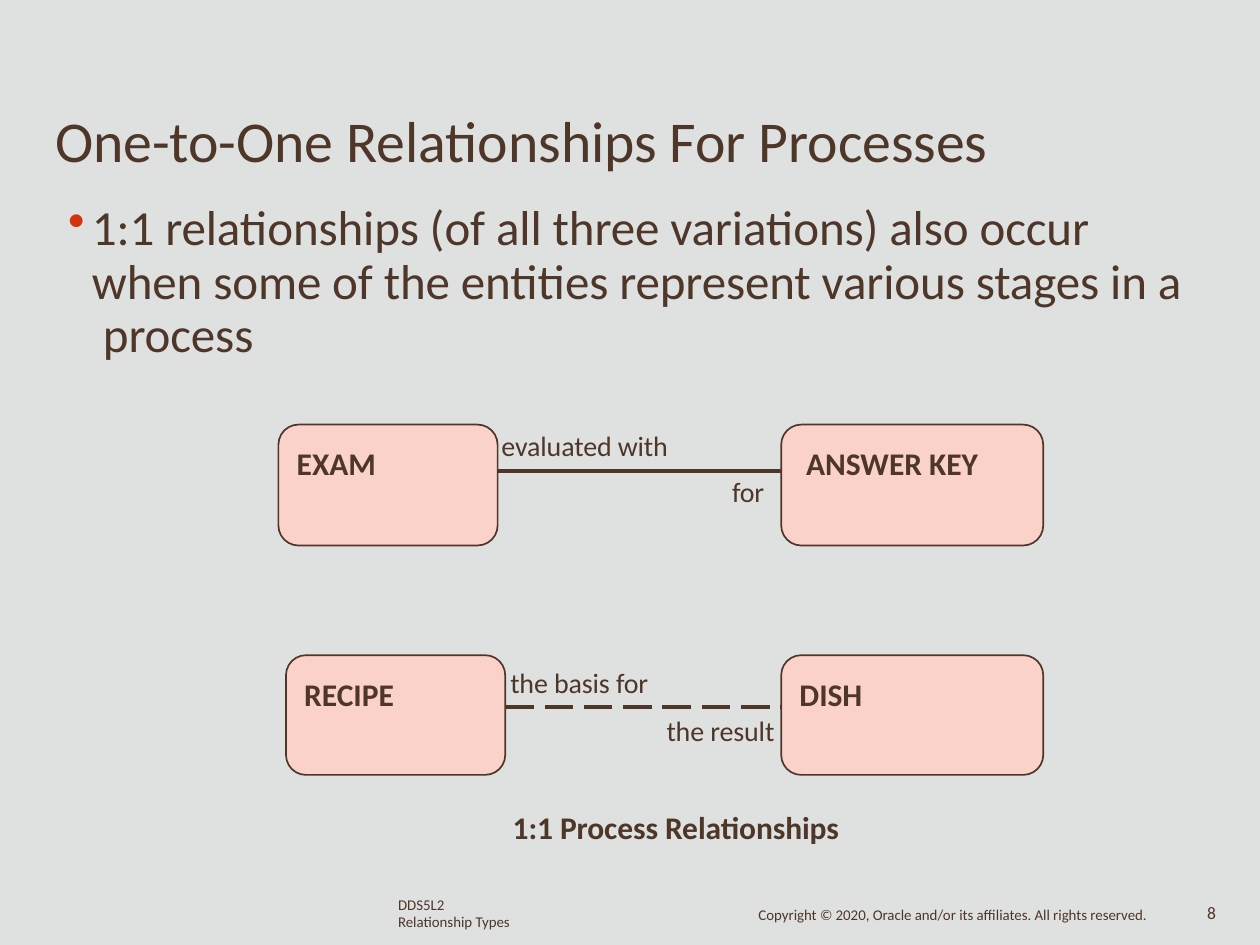
from dataclasses import dataclass

from lxml import etree
from pptx import Presentation
from pptx import util as u
from pptx.dml.color import RGBColor
from pptx.enum import dml, shapes, text
from pptx.oxml import ns


@dataclass(frozen=True)
class Theme:
    """Colours, font and type sizes of the slide."""
    background: RGBColor = RGBColor(0xDF, 0xE1, 0xE0)
    ink: RGBColor = RGBColor(0x4E, 0x36, 0x29)
    entity: RGBColor = RGBColor(0xFA, 0xD2, 0xC9)
    bullet: str = "D1350F"
    font: str = "Calibri"
    title: float = 33
    body: float = 28
    heading: float = 18
    label: float = 16
    page: float = 10
    footer: float = 8.5


THEME = Theme()


def add_run(paragraph, words, size, bold=False, tracking=-0.05):
    """Add one styled run, with tracking in points."""
    run = paragraph.add_run()
    run.text = words
    run.font.name = THEME.font
    run.font.size = u.Pt(size)
    run.font.bold = bold
    run.font.color.rgb = THEME.ink
    run._r.get_or_add_rPr().set("spc", str(round(tracking * 100)))


def set_frame(frame, left=0, top=0, wrap=False):
    """Set the insets, wrapping and top anchor of a text frame."""
    frame.margin_left, frame.margin_top = u.Inches(left), u.Inches(top)
    frame.margin_right = frame.margin_bottom = 0
    frame.word_wrap = wrap
    frame.vertical_anchor = text.MSO_ANCHOR.TOP


def add_panel(slide, kind, box, colour):
    """Draw a filled preset shape without line or shadow."""
    shape = slide.shapes.add_shape(kind, *map(u.Inches, box))
    shape.shadow.inherit = False
    shape.fill.solid()
    shape.fill.fore_color.rgb = colour
    shape.line.fill.background()
    return shape


def add_text(slide, box, lines, size, bold=False, top=0.01, spacings=(), tracking=-0.05):
    """Place lines of text in a box, with optional exact line spacings."""
    frame = slide.shapes.add_textbox(*map(u.Inches, box)).text_frame
    set_frame(frame, left=0.01, top=top)
    for index, words in enumerate(lines):
        paragraph = frame.add_paragraph() if index else frame.paragraphs[0]
        if spacings:
            paragraph.line_spacing = u.Pt(spacings[index])
        add_run(paragraph, words, size, bold, tracking)


def add_body(slide, box, lines):
    """Place the bulleted statement, broken into the given lines."""
    frame = slide.shapes.add_textbox(*map(u.Inches, box)).text_frame
    set_frame(frame, top=0.06, wrap=True)
    paragraph = frame.paragraphs[0]
    paragraph.line_spacing = u.Pt(30.3)
    properties = paragraph._p.get_or_add_pPr()
    properties.set("marL", str(u.Inches(0.2)))
    properties.set("indent", str(u.Inches(-0.19)))
    colour = etree.SubElement(properties, ns.qn("a:buClr"))
    etree.SubElement(colour, ns.qn("a:srgbClr"), val=THEME.bullet)
    etree.SubElement(properties, ns.qn("a:buChar"), char="•")
    size = str(round(THEME.body * 100))
    for index, words in enumerate(lines):
        if index:
            paragraph.add_line_break()
            etree.SubElement(paragraph._p[-1], ns.qn("a:rPr"), sz=size)
        add_run(paragraph, words, THEME.body)
    etree.SubElement(paragraph._p, ns.qn("a:endParaRPr"), sz=size)


def add_entity(slide, box, name, indent=0.1):
    """Draw one rounded entity box with its name at the top left."""
    shape = add_panel(slide, shapes.MSO_SHAPE.ROUNDED_RECTANGLE, box, THEME.entity)
    shape.line.color.rgb = THEME.ink
    shape.line.width = u.Pt(0.96)
    set_frame(shape.text_frame, left=indent, top=0.11)
    paragraph = shape.text_frame.paragraphs[0]
    paragraph.alignment = text.PP_ALIGN.LEFT
    add_run(paragraph, name, THEME.heading, bold=True, tracking=0)


def add_link(slide, left, right, top, dashed):
    """Draw the horizontal relationship line, dashed when optional."""
    ends = map(u.Inches, (left, top, right, top))
    link = slide.shapes.add_connector(shapes.MSO_CONNECTOR.STRAIGHT, *ends)
    link.line.color.rgb = THEME.ink
    link.line.width = u.Pt(2.04)
    if dashed:
        link.line.dash_style = dml.MSO_LINE.LONG_DASH
    etree.SubElement(link._element.spPr, ns.qn("a:effectLst"))


def add_relationship(slide, box, names, indent, link_drop, labels, dashed=False):
    """Draw two entities at the ends of a box and the labelled line between them."""
    left, top, width, height = box
    first_width, second_width = 1.74, 2.08
    link_left = left + first_width
    link_right = left + width - second_width
    add_entity(slide, (left, top, first_width, height), names[0])
    add_entity(slide, (link_right, top, second_width, height), names[1], indent)
    add_link(slide, link_left, link_right, top + link_drop, dashed)
    for words, label_left, label_drop, label_width in labels:
        label_box = (label_left, top + label_drop, label_width, 0.29)
        add_text(slide, label_box, [words], THEME.label)


def add_footer(slide, box):
    """Place the lesson name, copyright line and page number along the bottom."""
    left, top, width, height = box
    add_text(slide, (left, top, 0.93, height), ["DDS5L2", "Relationship Types"],
             THEME.footer, top=0, spacings=(8.6, 9.7), tracking=-0.03)
    add_text(slide, (left + 2.86, top + 0.07, 3.15, 0.15),
             ["Copyright © 2020, Oracle and/or its affiliates. All rights reserved."],
             THEME.footer, top=0, spacings=(9.1,), tracking=-0.02)
    add_text(slide, (left + width - 0.19, top + 0.05, 0.19, 0.17), ["8"],
             THEME.page, top=0, spacings=(10.4,))


def build_slide(presentation):
    """Compose the slide on one-to-one process relationships."""
    slide = presentation.slides.add_slide(presentation.slide_layouts[6])
    add_panel(slide, shapes.MSO_SHAPE.RECTANGLE, (0, 0, 10, 7.5), THEME.background)
    add_text(slide, (0.43, 0.82, 7.46, 0.58),
             ["One-to-One Relationships For Processes"], THEME.title)
    add_body(slide, (0.53, 1.55, 8.92, 1.33), [
        "1:1 relationships (of all three variations) also occur "
        "when some of the entities represent various stages in a",
        " process",
    ])
    add_relationship(slide, (2.21, 3.37, 6.07, 0.96), ("EXAM", "ANSWER KEY"), 0.15, 0.37,
                     [("evaluated with", 3.97, 0.02, 1.36), ("for", 5.8, 0.39, 0.29)])
    add_relationship(slide, (2.27, 5.2, 6.01, 0.95), ("RECIPE", "DISH"), 0.1, 0.41,
                     [("the basis for", 4.04, 0.07, 1.13), ("the result", 5.28, 0.45, 0.88)],
                     dashed=True)
    add_text(slide, (4.06, 6.4, 2.63, 0.33), ["1:1 Process Relationships"],
             THEME.heading, bold=True)
    add_footer(slide, (3.15, 7.13, 6.61, 0.27))


def main():
    """Create and save the presentation."""
    presentation = Presentation()
    presentation.slide_width = u.Inches(10)
    presentation.slide_height = u.Inches(7.5)
    build_slide(presentation)
    presentation.save("out.pptx")


if __name__ == "__main__":
    main()
